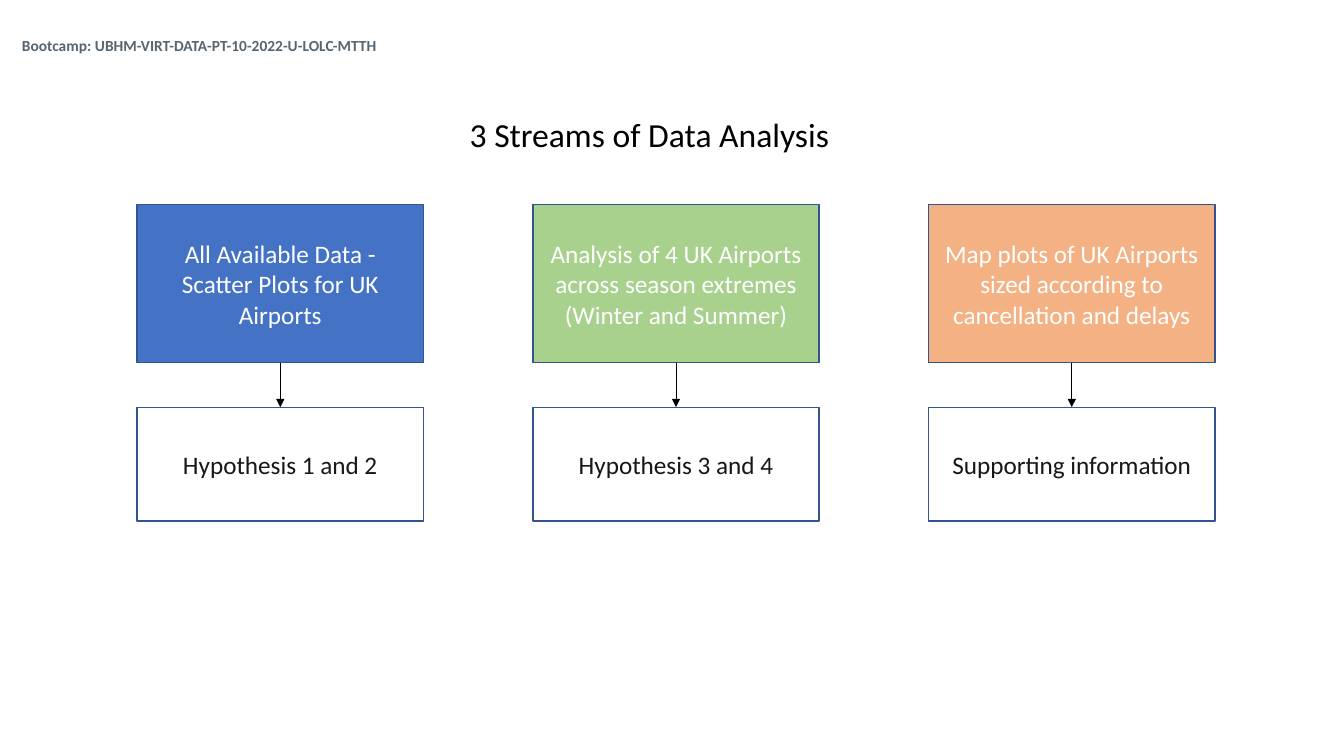
from dataclasses import dataclass
from typing import Optional

from lxml.etree import SubElement
from pptx import Presentation
from pptx.dml.color import RGBColor
from pptx.enum.shapes import MSO_CONNECTOR, MSO_SHAPE
from pptx.enum.text import MSO_ANCHOR, PP_ALIGN
from pptx.oxml.ns import qn
from pptx.shapes.autoshape import Shape
from pptx.shapes.connector import Connector
from pptx.slide import Slide
from pptx.util import Inches, Pt

COLORS = {
    "blue": "4472C4",
    "green": "A9D18E",
    "orange": "F4B183",
    "border": "325491",
    "white": "FFFFFF",
    "ink": "181717",
    "slate": "556572",
    "black": "000000",
}
LEFT, WIDTH = 1.36, 2.84
STEP = 7.85 / 2
TOP, HEIGHT = 2.03, 1.57
LOWER, DEPTH = 4.04, 1.13


@dataclass
class Stream:
    topic: str
    fill: str
    result: str


STREAMS = [
    Stream("All Available Data - Scatter Plots for UK Airports",
           "blue", "Hypothesis 1 and 2"),
    Stream("Analysis of 4 UK Airports across season extremes (Winter and Summer)",
           "green", "Hypothesis 3 and 4"),
    Stream("Map plots of UK Airports sized according to cancellation and delays",
           "orange", "Supporting information"),
]


def color(name: str) -> RGBColor:
    return RGBColor.from_string(COLORS[name])


def write(shape: Shape, text: str, size: float, ink: str,
          align: PP_ALIGN, anchor: MSO_ANCHOR, bold: bool = False) -> None:
    frame = shape.text_frame
    frame.word_wrap = True
    frame.vertical_anchor = anchor
    frame.text = text
    para = frame.paragraphs[0]
    para.alignment = align
    font = para.runs[0].font
    font.name = "Calibri"
    font.size = Pt(size)
    font.bold = bold
    font.color.rgb = color(ink)


def add_label(slide: Slide, left: float, top: float, width: float, height: float,
              text: str, size: float, ink: str, anchor: MSO_ANCHOR,
              bold: bool = False) -> Shape:
    label = slide.shapes.add_textbox(
        Inches(left), Inches(top), Inches(width), Inches(height))
    write(label, text, size, ink, PP_ALIGN.LEFT, anchor, bold)
    return label


def add_box(slide: Slide, left: float, top: float, height: float,
            text: str, ink: str, fill: Optional[str] = None) -> Shape:
    box = slide.shapes.add_shape(
        MSO_SHAPE.RECTANGLE, Inches(left), Inches(top), Inches(WIDTH), Inches(height))
    box.shadow.inherit = False
    if fill:
        box.fill.solid()
        box.fill.fore_color.rgb = color(fill)
    else:
        box.fill.background()
    box.line.color.rgb = color("border")
    box.line.width = Pt(1)
    write(box, text, 18, ink, PP_ALIGN.CENTER, MSO_ANCHOR.MIDDLE)
    return box


def add_arrow(slide: Slide, upper: Shape, lower: Shape) -> Connector:
    arrow = slide.shapes.add_connector(MSO_CONNECTOR.STRAIGHT, 0, 0, 0, 0)
    arrow.begin_connect(upper, 2)
    arrow.end_connect(lower, 0)
    arrow.line.color.rgb = color("black")
    arrow.line.width = Pt(0.5)
    SubElement(arrow.line._get_or_add_ln(), qn("a:tailEnd"), type="triangle")
    SubElement(arrow._element.spPr, qn("a:effectLst"))
    return arrow


def main() -> None:
    deck = Presentation()
    deck.slide_width, deck.slide_height = Inches(13.33), Inches(7.5)
    slide = deck.slides.add_slide(deck.slide_layouts[6])
    course = add_label(slide, 0.12, 0.04, 4.44, 0.55,
                       "Bootcamp: UBHM-VIRT-DATA-PT-10-2022-U-LOLC-MTTH",
                       11, "slate", MSO_ANCHOR.BOTTOM, True)
    course.text_frame.paragraphs[0].line_spacing = 0.9
    for index, stream in enumerate(STREAMS):
        left = LEFT + index * STEP
        topic = add_box(slide, left, TOP, HEIGHT, stream.topic, "white", stream.fill)
        result = add_box(slide, left, LOWER, DEPTH, stream.result, "ink")
        add_arrow(slide, topic, result)
    add_label(slide, 4.56, 1.08, 4.19, 0.5, "3 Streams of Data Analysis",
              24, "black", MSO_ANCHOR.TOP)
    deck.save("out.pptx")


if __name__ == "__main__":
    main()
